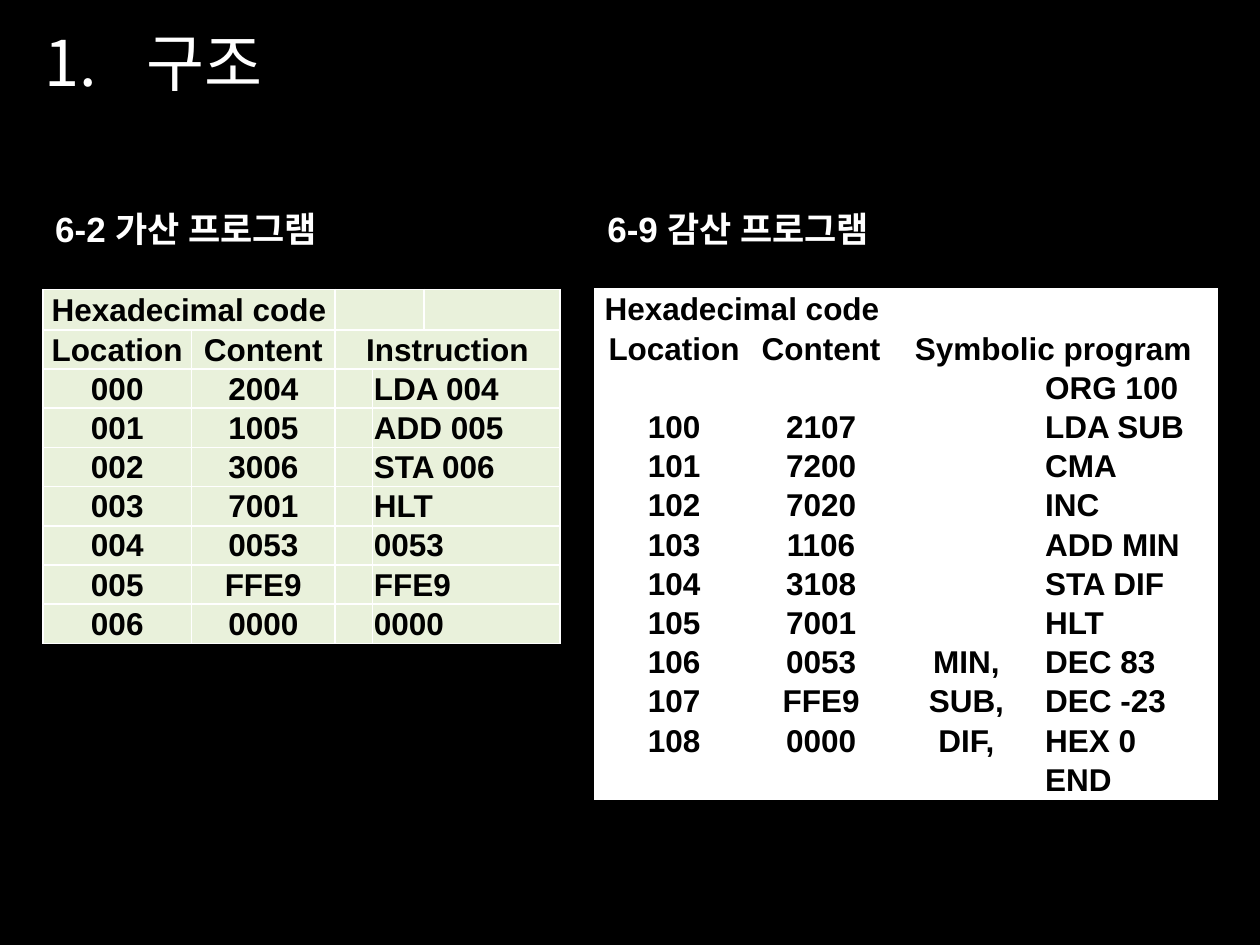
from dataclasses import dataclass

from lxml import etree
from pptx import Presentation
from pptx.dml.color import RGBColor
from pptx.enum import text
from pptx.oxml import ns
from pptx.util import Pt


@dataclass(frozen=True)
class Theme:
    background: str = "000000"
    light: str = "FFFFFF"
    ink: str = "000000"
    green: str = "E9F1DB"
    latin: str = "Arial"
    korean: str = "Noto Sans CJK KR"
    title_size: float = 36
    heading_size: float = 20
    cell_size: float = 18
    border: float = 1


@dataclass(frozen=True)
class Listing:
    heading: str
    left: float
    top: float
    fill: str
    widths: tuple[float, ...]
    rows: tuple[tuple[str, ...], ...]
    merges: tuple[tuple[int, int, int], ...]
    code_column: int


THEME = Theme()
HEADER_HEIGHT, ROW_HEIGHT = 23, 22.4
HEADER_ROWS = 2

ADDITION = Listing(
    "6-2 가산 프로그램", 24.5, 165.5, THEME.green, (85, 82, 21.5, 29.5, 77.5),
    (
        ("Hexadecimal code", "", "", "", ""),
        ("Location", "Content", "Instruction", "", ""),
        ("000", "2004", "", "LDA 004", ""),
        ("001", "1005", "", "ADD 005", ""),
        ("002", "3006", "", "STA 006", ""),
        ("003", "7001", "", "HLT", ""),
        ("004", "0053", "", "0053", ""),
        ("005", "FFE9", "", "FFE9", ""),
        ("006", "0000", "", "0000", ""),
    ),
    ((0, 0, 1), (0, 2, 3), (1, 2, 4), *((row, 3, 4) for row in range(2, 9))),
    3,
)

SUBTRACTION = Listing(
    "6-9 감산 프로그램", 340, 165, THEME.light, (90.5, 77.5, 88.5, 99.3),
    (
        ("Hexadecimal code", "", "", ""),
        ("Location", "Content", "Symbolic program", ""),
        ("", "", "", "ORG 100"),
        ("100", "2107", "", "LDA SUB"),
        ("101", "7200", "", "CMA"),
        ("102", "7020", "", "INC"),
        ("103", "1106", "", "ADD MIN"),
        ("104", "3108", "", "STA DIF"),
        ("105", "7001", "", "HLT"),
        ("106", "0053", "MIN,", "DEC 83"),
        ("107", "FFE9", "SUB,", "DEC -23"),
        ("108", "0000", "DIF,", "HEX 0"),
        ("", "", "", "END"),
    ),
    ((0, 0, 1), (1, 2, 3)),
    3,
)


def add_child(parent, tag: str, **attributes: str):
    return etree.SubElement(parent, ns.qn(tag), attributes)


def format_runs(paragraph, size: float, color: str, latin: str, bold: bool) -> None:
    for run in paragraph.runs:
        run.font.size = Pt(size)
        run.font.bold = bold
        run.font.color.rgb = RGBColor.from_string(color)
        run.font.name = latin
        add_child(run.font._element, "a:ea", typeface=THEME.korean)


def add_title(slide, wording: str) -> None:
    title = slide.shapes.title
    title.left, title.top, title.width, title.height = Pt(18), Pt(9.4), Pt(684), Pt(51)
    frame = title.text_frame
    frame.text = wording
    frame.word_wrap = True
    frame.auto_size = text.MSO_AUTO_SIZE.SHAPE_TO_FIT_TEXT
    frame.vertical_anchor = text.MSO_ANCHOR.MIDDLE
    paragraph = frame.paragraphs[0]
    paragraph.alignment = text.PP_ALIGN.LEFT
    properties = paragraph._p.get_or_add_pPr()
    properties.set("marL", str(Pt(58.5)))
    properties.set("indent", str(-Pt(58.5)))
    add_child(properties, "a:buFont", typeface=THEME.korean)
    add_child(properties, "a:buAutoNum", type="arabicPeriod")
    format_runs(paragraph, THEME.title_size, THEME.light, THEME.korean, False)


def add_heading(slide, listing: Listing) -> None:
    frame = slide.shapes.add_textbox(Pt(listing.left), Pt(115), Pt(299), Pt(31.5)).text_frame
    frame.word_wrap = True
    frame.auto_size = text.MSO_AUTO_SIZE.SHAPE_TO_FIT_TEXT
    frame.text = listing.heading
    format_runs(frame.paragraphs[0], THEME.heading_size, THEME.light, THEME.latin, True)


def format_cell(cell, wording: str, fill: str, is_code: bool) -> None:
    cell.text_frame.text = wording
    cell.vertical_anchor = text.MSO_ANCHOR.MIDDLE
    cell.margin_left = cell.margin_top = cell.margin_right = Pt(0.75)
    cell.margin_bottom = Pt(0)
    paragraph = cell.text_frame.paragraphs[0]
    paragraph.alignment = text.PP_ALIGN.LEFT if is_code else text.PP_ALIGN.CENTER
    format_runs(paragraph, THEME.cell_size, THEME.ink, THEME.latin, True)
    if not wording:
        ending = add_child(paragraph._p, "a:endParaRPr", sz=str(int(THEME.cell_size * 100)))
        add_child(ending, "a:latin", typeface=THEME.latin)
    properties = cell._tc.get_or_add_tcPr()
    for side in ("a:lnL", "a:lnR", "a:lnT", "a:lnB"):
        line = add_child(properties, side, w=str(Pt(THEME.border)))
        add_child(add_child(line, "a:solidFill"), "a:srgbClr", val=THEME.light)
    cell.fill.solid()
    cell.fill.fore_color.rgb = RGBColor.from_string(fill)


def add_listing(slide, listing: Listing) -> None:
    heights = [HEADER_HEIGHT] + [ROW_HEIGHT] * (len(listing.rows) - 1)
    table = slide.shapes.add_table(
        len(listing.rows), len(listing.widths), Pt(listing.left), Pt(listing.top),
        Pt(sum(listing.widths)), Pt(sum(heights)),
    ).table
    table.first_row = table.horz_banding = False
    for column, width in zip(table.columns, listing.widths):
        column.width = Pt(width)
    for row, height in zip(table.rows, heights):
        row.height = Pt(height)
    for row, wordings in enumerate(listing.rows):
        for column, wording in enumerate(wordings):
            is_code = row >= HEADER_ROWS and column == listing.code_column
            format_cell(table.cell(row, column), wording, listing.fill, is_code)
    for row, first, last in listing.merges:
        table.cell(row, first).merge(table.cell(row, last))


def main() -> None:
    deck = Presentation()
    deck.slide_width, deck.slide_height = Pt(720), Pt(540)
    slide = deck.slides.add_slide(deck.slide_layouts[5])
    slide.background.fill.solid()
    slide.background.fill.fore_color.rgb = RGBColor.from_string(THEME.background)
    add_title(slide, "구조")
    for listing in (SUBTRACTION, ADDITION):
        add_listing(slide, listing)
    for listing in (ADDITION, SUBTRACTION):
        add_heading(slide, listing)
    deck.save("out.pptx")


if __name__ == "__main__":
    main()
